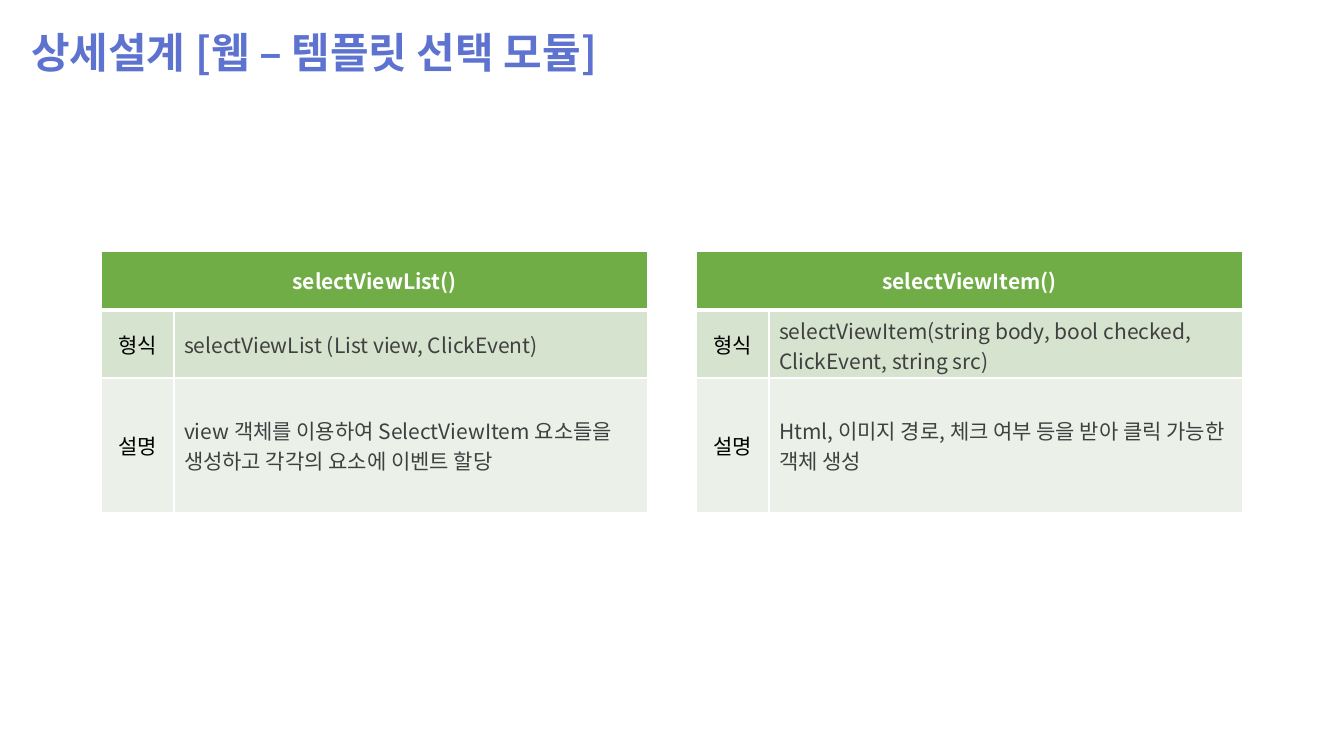
"""Build the detailed design slide for the web template selection module."""
import pptx
import pptx.dml.color
import pptx.enum.text
import pptx.oxml
import pptx.oxml.ns
import pptx.util

PX = 914400 / 100.8
FONT = "Noto Sans CJK KR"
ALIGN = pptx.enum.text.PP_ALIGN
MIDDLE = pptx.enum.text.MSO_ANCHOR.MIDDLE


def px(count):
    return pptx.util.Emu(round(count * PX))


def style(frame, size, color, bold, align):
    par = frame.paragraphs[0]
    par.alignment = align
    font = par.runs[0].font
    font.size = pptx.util.Pt(size)
    font.bold = bold
    font.color.rgb = pptx.dml.color.RGBColor.from_string(color)
    font.name = FONT
    east = pptx.oxml.parse_xml(f'<a:ea {pptx.oxml.ns.nsdecls("a")} typeface="{FONT}"/>')
    font._element.find(pptx.oxml.ns.qn("a:latin")).addnext(east)


deck = pptx.Presentation()
deck.slide_width, deck.slide_height = px(1344), px(756)
slide = deck.slides.add_slide(deck.slide_layouts[5])

title = slide.shapes.title
title.left, title.top, title.width, title.height = px(21), px(21), px(793), px(61)
title.text_frame.text = "상세설계 [웹 – 템플릿 선택 모듈]"
title.text_frame.auto_size = pptx.enum.text.MSO_AUTO_SIZE.SHAPE_TO_FIT_TEXT
title.text_frame.vertical_anchor = pptx.enum.text.MSO_ANCHOR.TOP
style(title.text_frame, 30, "5D73CF", True, ALIGN.LEFT)

widths = [73, 474]
heights = [59, 68, 135]
fills = ["70AD47", "D5E3CF", "EBF1E9"]
modules = [
    (101, "selectViewList()", "selectViewList (List view, ClickEvent)",
     "view 객체를 이용하여 SelectViewItem 요소들을 생성하고 각각의 요소에 이벤트 할당"),
    (696, "selectViewItem()",
     "selectViewItem(string body, bool checked, ClickEvent, string src)",
     "Html, 이미지 경로, 체크 여부 등을 받아 클릭 가능한 객체 생성"),
]

for left, name, form, about in modules:
    table = slide.shapes.add_table(
        3, 2, px(left), px(251), px(sum(widths)), px(sum(heights))).table
    for col, width in zip(table.columns, widths):
        col.width = px(width)
    for row, height in zip(table.rows, heights):
        row.height = px(height)
    table.cell(0, 0).merge(table.cell(0, 1))

    rows = [(name, ""), ("형식", form), ("설명", about)]
    for r, texts in enumerate(rows):
        for c, text in enumerate(texts):
            cell = table.cell(r, c)
            props = cell._tc.get_or_add_tcPr()
            for side in "LRTB":
                thick = (r, side) in [(0, "B"), (1, "T")]
                props.append(pptx.oxml.parse_xml(
                    f'<a:ln{side} {pptx.oxml.ns.nsdecls("a")} w="{38100 if thick else 12700}">'
                    '<a:solidFill><a:srgbClr val="FFFFFF"/></a:solidFill>'
                    f'</a:ln{side}>'))
            cell.fill.solid()
            cell.fill.fore_color.rgb = pptx.dml.color.RGBColor.from_string(fills[r])
            cell.vertical_anchor = MIDDLE
            if text:
                cell.text_frame.text = text
                color = "FFFFFF" if r == 0 else ("000000", "404040")[c]
                style(cell.text_frame, 15, color, r == 0, (ALIGN.CENTER, ALIGN.LEFT)[c])

deck.save("out.pptx")
